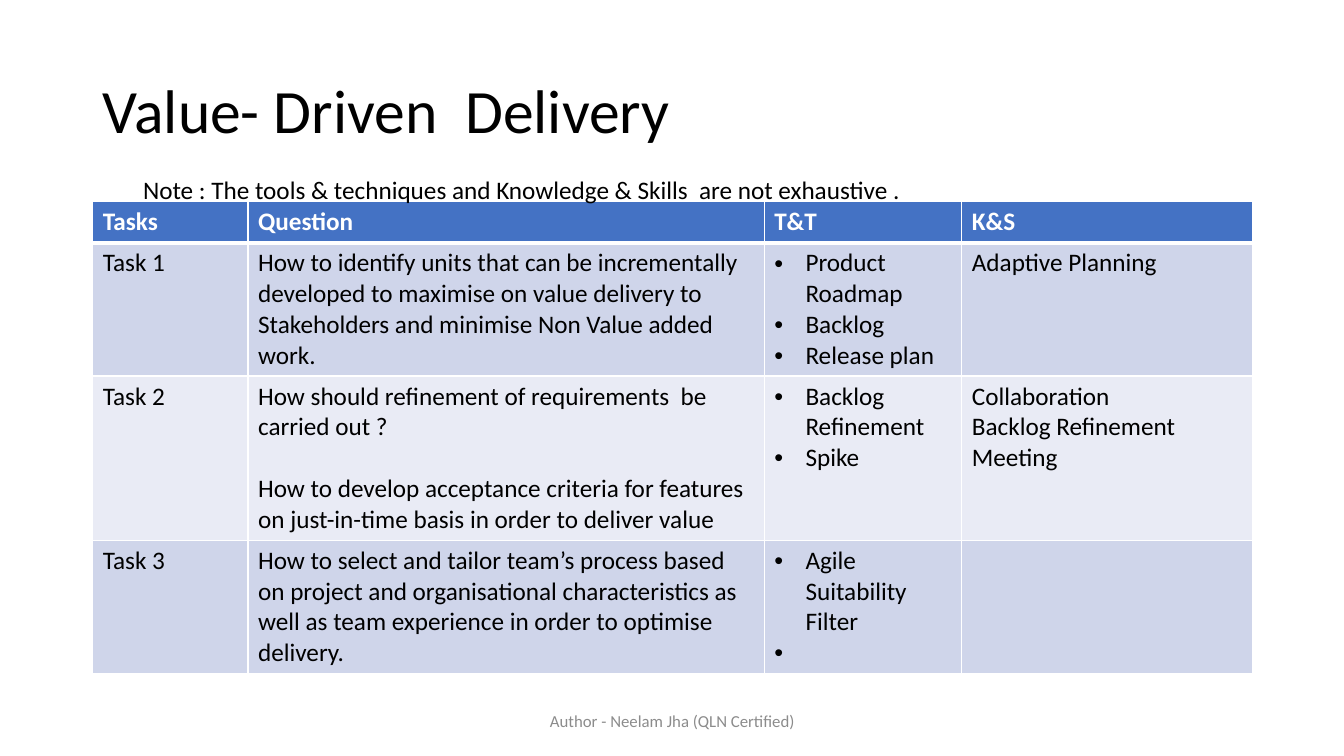
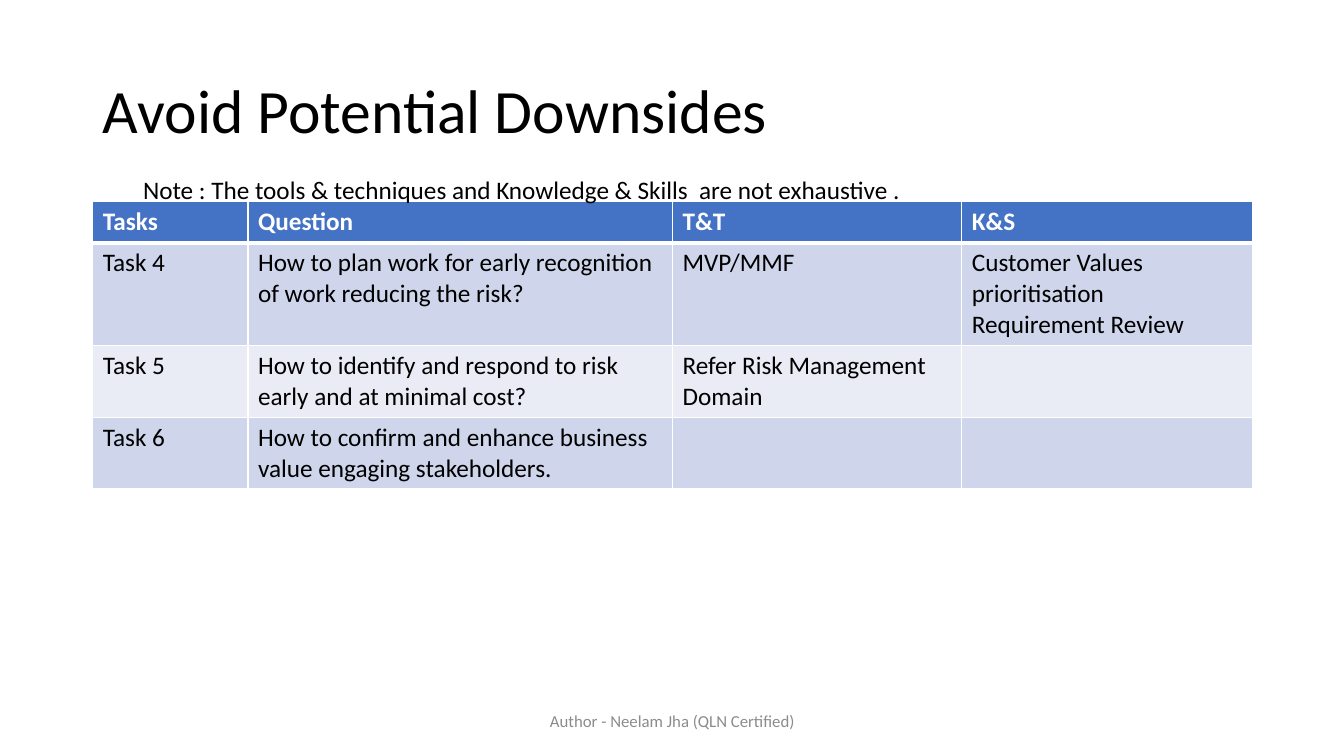
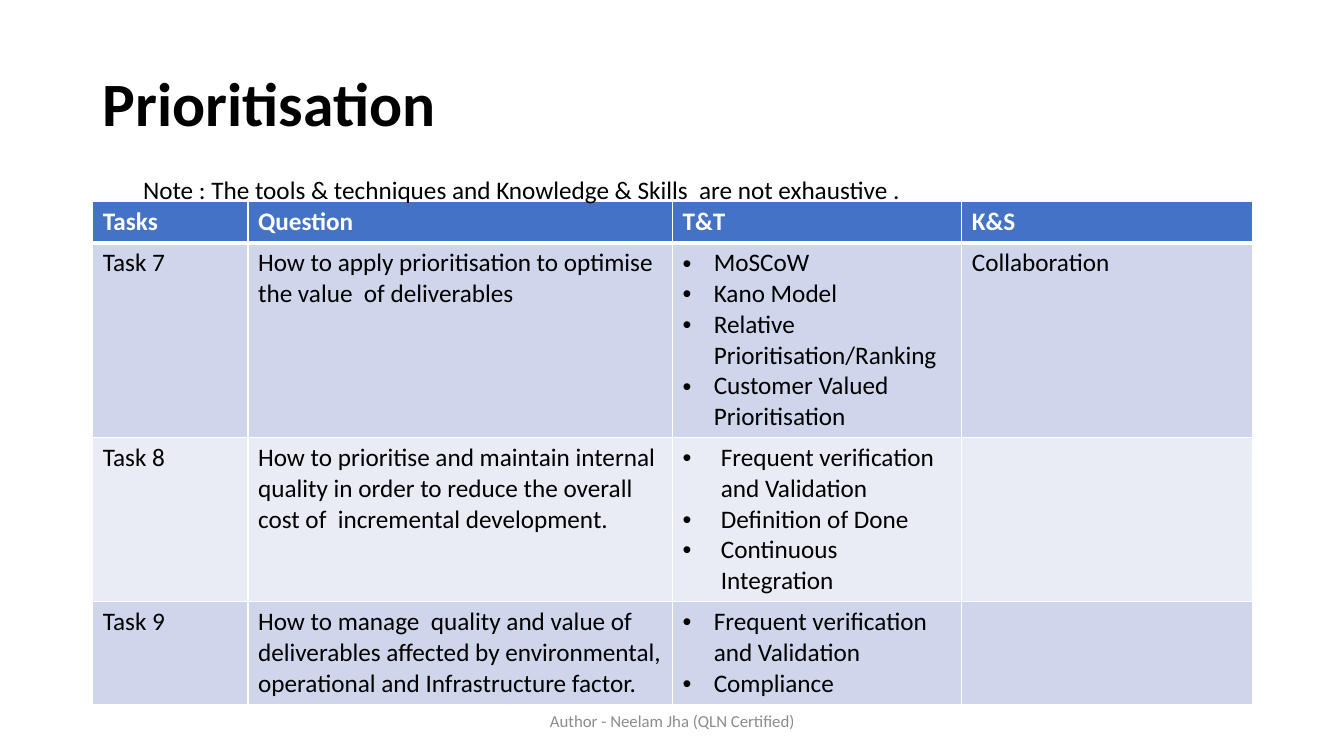
from lxml.etree import SubElement
from pptx import Presentation
from pptx.dml.color import RGBColor
from pptx.enum.text import MSO_ANCHOR as Anchor, MSO_AUTO_SIZE as Fit, PP_ALIGN as Align
from pptx.oxml.ns import qn
from pptx.util import Pt

PX = 9144  # EMU in one px, 100 px to the inch
FONT = "Calibri"
COLORS = {
    "text": "000000",
    "white": "FFFFFF",
    "foot": "8C8C8C",
    "head": "4472C4",
    "odd": "CFD5EA",
    "even": "E9EBF5",
}
LEFT, WIDE = 92, 1150
HEADS = ["Tasks", "Question", "T&T", "K&S"]
NOTE = "Note : The tools & techniques and Knowledge & Skills  are not exhaustive ."
FOOT = "Author - Neelam Jha (QLN Certified)"


def px(*nums):
    return [num * PX for num in nums]


def color(name):
    return RGBColor.from_string(COLORS[name])


def bullet(para, hang):
    props = para._p.get_or_add_pPr()
    props.set("marL", str(hang * PX))
    props.set("indent", str(-hang * PX))
    SubElement(props, qn("a:buFont")).set("typeface", "Arial")
    SubElement(props, qn("a:buChar")).set("char", "•")


def write(frame, *lines, size=18, ink="text", bold=False, align=Align.LEFT,
          space=None, gap=0, hang=0):
    """Fill a frame; gap is the space in points between paragraphs."""
    for num, line in enumerate(lines):
        para = frame.add_paragraph() if num else frame.paragraphs[0]
        para.alignment = align
        if space:
            para.line_spacing = space
        if num and gap:
            para.space_before = Pt(gap)
        if hang:
            bullet(para, hang)
        run = para.add_run()
        run.text = line
        font = run.font
        font.name, font.size, font.bold = FONT, Pt(size), bold
        font.color.rgb = color(ink)


def label(slide, box, text, wrap=True, fit=Fit.NONE, anchor=Anchor.TOP, **fmt):
    frame = slide.shapes.add_textbox(*px(*box)).text_frame
    frame.word_wrap, frame.auto_size, frame.vertical_anchor = wrap, fit, anchor
    write(frame, text, **fmt)


def border(cell, **widths):
    """Draw white cell sides, given in points in the order L, R, T, B."""
    props = cell._tc.get_or_add_tcPr()
    for side, width in widths.items():
        line = SubElement(props, qn("a:ln" + side), w=str(Pt(width)))
        fill = SubElement(line, qn("a:solidFill"))
        SubElement(fill, qn("a:srgbClr")).set("val", COLORS["white"])


def item(*lines, **fmt):
    """A cell's paragraphs with their format."""
    return lines, fmt


def points(*lines, hang=31):
    return item(*lines, hang=hang)


def height(count):
    """Row height for a number of text lines."""
    return 10 + (61 * count + 1) // 2


def grid(slide, cols, rows):
    """Each row is its line count, then its cells."""
    rows = [(1, *HEADS)] + rows
    tall = [height(row[0]) for row in rows]
    box = px(LEFT, 200, WIDE, sum(tall))
    table = slide.shapes.add_table(len(rows), len(cols), *box).table
    for col, wide in zip(table.columns, cols):
        col.width = wide * PX
    for r, (_, *cells) in enumerate(rows):
        table.rows[r].height = tall[r] * PX
        shade = "head" if r == 0 else "odd" if r % 2 else "even"
        for c, entry in enumerate(cells):
            cell = table.cell(r, c)
            border(cell, L=1, R=1, T=3 if r == 1 else 1, B=1 if r else 3)
            cell.fill.solid()
            cell.fill.fore_color.rgb = color(shade)
            lines, fmt = item(entry) if isinstance(entry, str) else entry
            write(cell.text_frame, *lines, bold=r == 0,
                  ink="text" if r else "white", **fmt)


def page(deck, name, cols, rows, top=40, bold=False):
    slide = deck.slides.add_slide(deck.slide_layouts[5])
    title = slide.shapes.title
    title.left, title.top, title.width, title.height = px(LEFT, top, WIDE, 145)
    frame = title.text_frame
    frame.vertical_anchor, frame.auto_size = Anchor.MIDDLE, Fit.NONE
    write(frame, name, size=44, bold=bold, space=0.9)
    grid(slide, cols, rows)
    label(slide, (442, 695, 450, 40), FOOT, anchor=Anchor.MIDDLE,
          size=12, ink="foot", align=Align.CENTER)
    label(slide, (132, 168, 781, 40), NOTE, wrap=False, fit=Fit.SHAPE_TO_FIT_TEXT)


def main():
    deck = Presentation()
    deck.slide_width, deck.slide_height = px(1333, 750)
    even = (154, 421, 287, 288)

    page(deck, "Value- Driven  Delivery", (154, 512, 196, 288), [
        (4, "Task 1",
         "How to identify units that can be incrementally developed to maximise on "
         "value delivery to Stakeholders and minimise Non Value added work.",
         points("Product Roadmap", "Backlog", "Release plan"),
         "Adaptive Planning"),
        (5, "Task 2",
         item("How should refinement of requirements  be carried out ?",
              "How to develop acceptance criteria for features on just-in-time "
              "basis in order to deliver value", gap=22),
         points("Backlog Refinement", "Spike"),
         item("Collaboration", "Backlog Refinement Meeting")),
        (4, "Task 3",
         "How to select and tailor team’s process based on project and "
         "organisational characteristics as well as team experience in order to "
         "optimise delivery.",
         points("Agile Suitability Filter", " "), item()),
    ])

    page(deck, "Avoid Potential Downsides", even, [
        (3, "Task 4",
         "How to plan work for early recognition of work reducing the risk?",
         "MVP/MMF",
         item("Customer Values prioritisation", "Requirement Review")),
        (2, "Task 5",
         "How to identify and respond to risk early and at minimal cost?",
         "Refer Risk Management Domain", item()),
        (2, "Task 6",
         "How to confirm and enhance business value engaging stakeholders.",
         item(), item()),
    ])

    page(deck, "Prioritisation", even, [
        (6, "Task 7",
         "How to apply prioritisation to optimise the value  of deliverables",
         points("MoSCoW", "Kano Model", "Relative Prioritisation/Ranking",
                "Customer Valued Prioritisation"),
         "Collaboration"),
        (5, "Task 8",
         "How to prioritise and maintain internal quality in order to reduce the "
         "overall cost of  incremental development.",
         points("Frequent verification and Validation", "Definition of Done",
                "Continuous Integration", hang=38), item()),
        (3, "Task 9",
         "How to manage  quality and value of deliverables affected by "
         "environmental, operational and Infrastructure factor.",
         points("Frequent verification and Validation", "Compliance"), item()),
    ], top=33, bold=True)

    deck.save("out.pptx")


if __name__ == "__main__":
    main()
